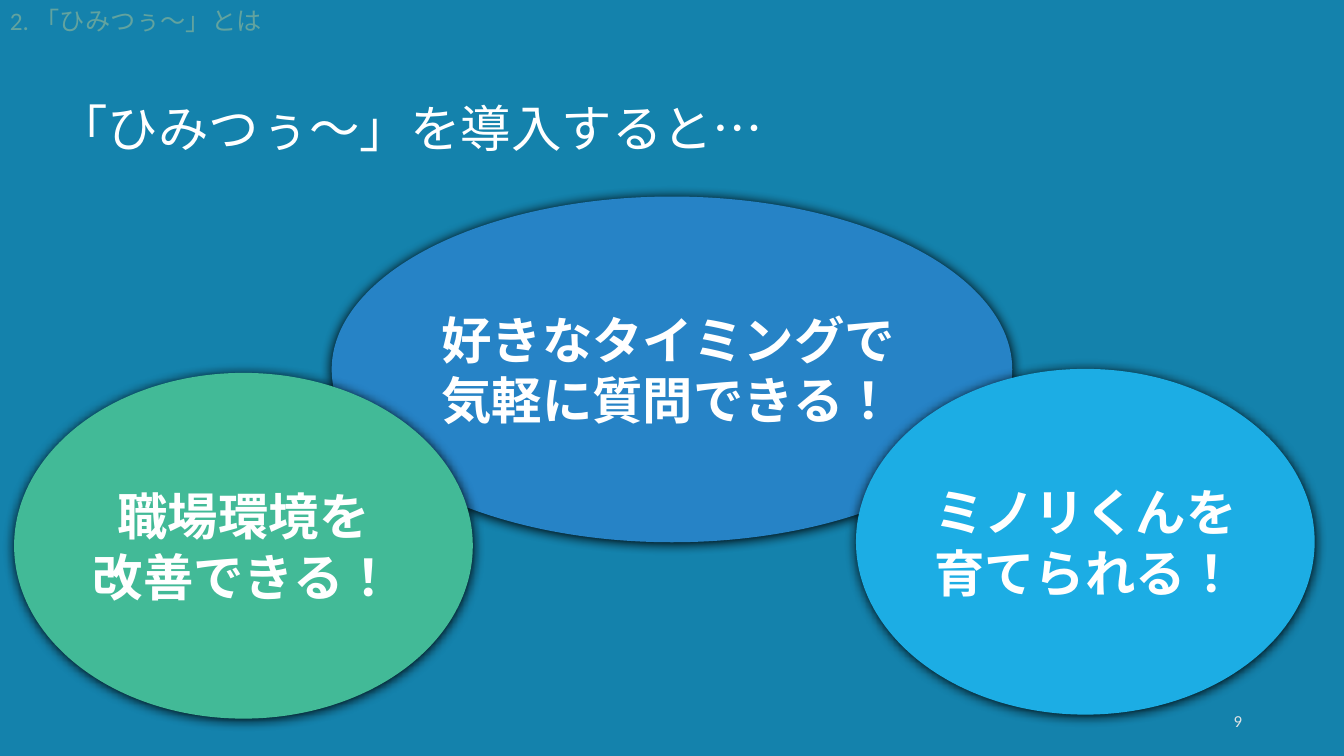
from dataclasses import dataclass

from lxml import etree
from pptx import Presentation, util as u
from pptx.dml.color import RGBColor
from pptx.enum import lang, shapes, text
from pptx.oxml import ns

COLORS = {
    "background": "1482AC",
    "white": "FFFFFF",
    "section": "62A39F",
    "number": "DFE3E5",
    "blue": "2683C6",
    "cyan": "1CADE4",
    "green": "42BA97",
    "shadow": "000000",
}
FONT = "Calibri"
PRODUCT = "「ひみつぅ～」"
WIDTH, HEIGHT = u.Inches(13.33), u.Inches(7.5)
COLUMNS, ROWS = 100, 100  # grid over the whole slide
BENEFIT_ROWS = 45.73
LEFT, CENTER, RIGHT = (text.PP_ALIGN.LEFT, text.PP_ALIGN.CENTER,
                       text.PP_ALIGN.RIGHT)


@dataclass
class Box:
    col: float
    row: float
    cols: float
    rows: float


@dataclass
class Label:
    lines: list[str]
    size: int
    color: str
    align: text.PP_ALIGN = LEFT
    anchor: text.MSO_ANCHOR = text.MSO_ANCHOR.TOP
    bold: bool = False


@dataclass
class Benefit:
    box: Box
    fill: str
    lines: list[str]
    align: text.PP_ALIGN = CENTER


BENEFITS = [
    Benefit(Box(24.68, 26, 50.64, BENEFIT_ROWS), "blue",
            ["好きなタイミングで", "気軽に質問できる！"], LEFT),
    Benefit(Box(63.69, 48.8, 34.13, BENEFIT_ROWS), "cyan",
            ["ミノリくんを", "育てられる！"]),
    Benefit(Box(1.05, 49.33, 34.13, BENEFIT_ROWS), "green",
            ["職場環境を", "改善できる！"]),
]


def rgb(name: str) -> RGBColor:
    return RGBColor.from_string(COLORS[name])


def place(box: Box) -> tuple[int, int, int, int]:
    """Turn grid units into left, top, width and height."""
    return (int(WIDTH * box.col / COLUMNS), int(HEIGHT * box.row / ROWS),
            int(WIDTH * box.cols / COLUMNS), int(HEIGHT * box.rows / ROWS))


def write(sp, label: Label) -> None:
    tf = sp.text_frame
    tf.word_wrap = True
    tf.auto_size = text.MSO_AUTO_SIZE.NONE
    tf.vertical_anchor = label.anchor
    for i, line in enumerate(label.lines):
        p = tf.add_paragraph() if i else tf.paragraphs[0]
        p.alignment = label.align
        r = p.add_run()
        r.text = line
        r.font.name = FONT
        r.font.language_id = lang.MSO_LANGUAGE_ID.JAPANESE
        r.font.size = u.Pt(label.size)
        r.font.bold = label.bold
        r.font.color.rgb = rgb(label.color)


def add_text(s, box: Box, label: Label) -> None:
    write(s.shapes.add_textbox(*place(box)), label)


def add_shadow(sp) -> None:
    sp.shadow.inherit = False
    effects = sp.element.spPr.find(ns.qn("a:effectLst"))
    shadow = etree.SubElement(
        effects, ns.qn("a:outerShdw"), blurRad=str(u.Pt(8.5)),
        dist=str(u.Pt(1)), dir=str(90 * 60000), rotWithShape="0")
    etree.SubElement(shadow, ns.qn("a:srgbClr"), val=COLORS["shadow"])


def add_benefit(s, benefit: Benefit) -> None:
    sp = s.shapes.add_shape(shapes.MSO_SHAPE.OVAL, *place(benefit.box))
    sp.fill.solid()
    sp.fill.fore_color.rgb = rgb(benefit.fill)
    sp.line.fill.background()
    add_shadow(sp)
    write(sp, Label(benefit.lines, 36, "white", benefit.align,
                    text.MSO_ANCHOR.MIDDLE, True))


def main() -> None:
    prs = Presentation()
    prs.slide_width, prs.slide_height = WIDTH, HEIGHT
    s = prs.slides.add_slide(prs.slide_layouts.get_by_name("Title Only"))
    s.background.fill.solid()
    s.background.fill.fore_color.rgb = rgb("background")

    # Title
    title = s.shapes.title
    title.left, title.top, title.width, title.height = place(
        Box(3.53, 12.13, 94.37, 9.47))
    write(title, Label([f"{PRODUCT}を導入すると…"], 36, "white"))

    # Page number
    add_text(s, Box(70.67, 92.67, 22.5, 5.33),
             Label(["9"], 12, "number", RIGHT, text.MSO_ANCHOR.MIDDLE))

    # Overlapping benefits, back to front
    for benefit in BENEFITS:
        add_benefit(s, benefit)

    # Section marker
    add_text(s, Box(0, 0, 31.36, 5.33),
             Label([f"2. {PRODUCT}とは"], 18, "section"))

    prs.save("out.pptx")


if __name__ == "__main__":
    main()
